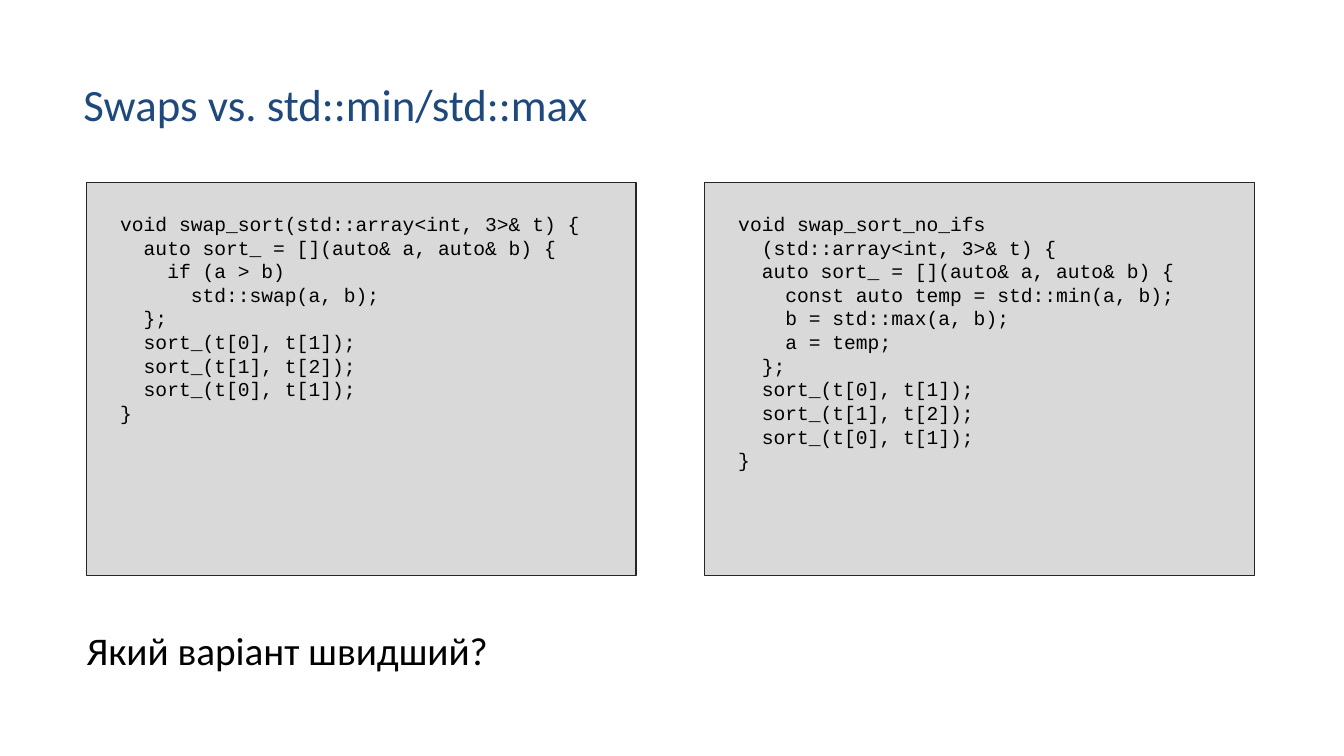
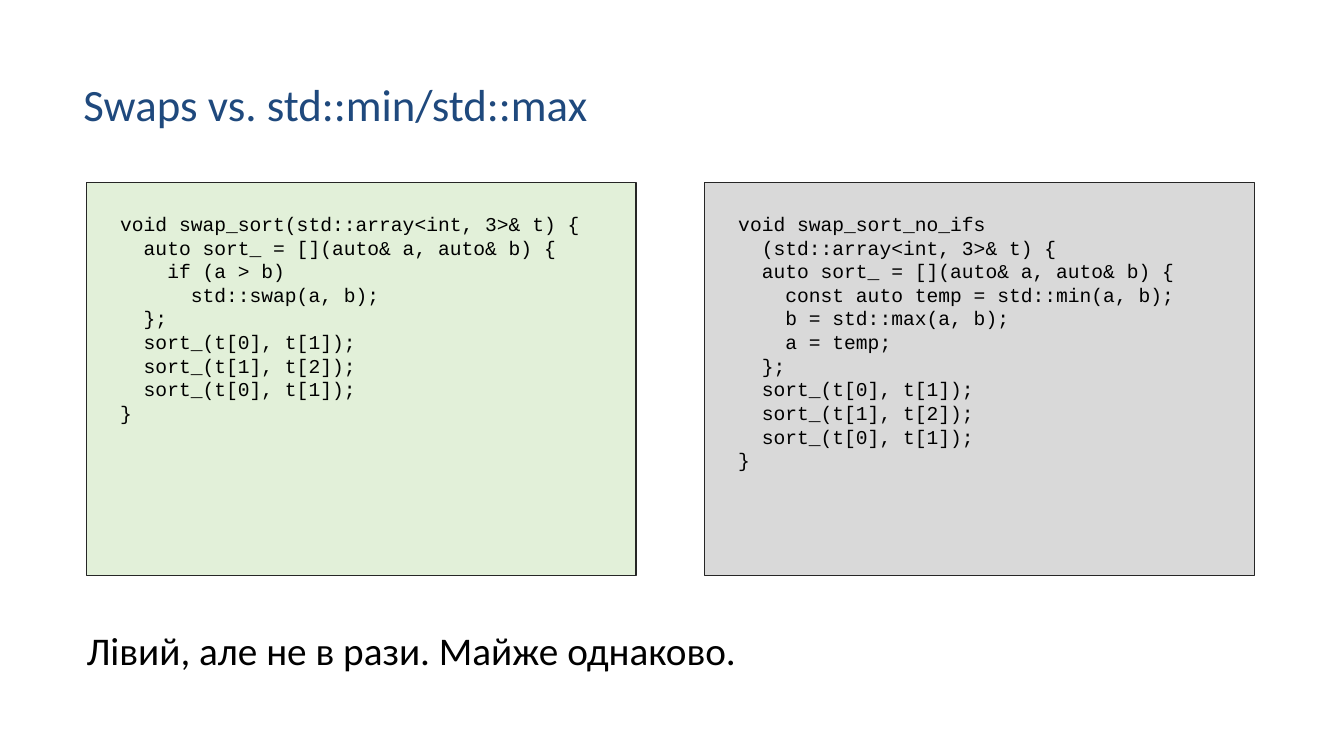
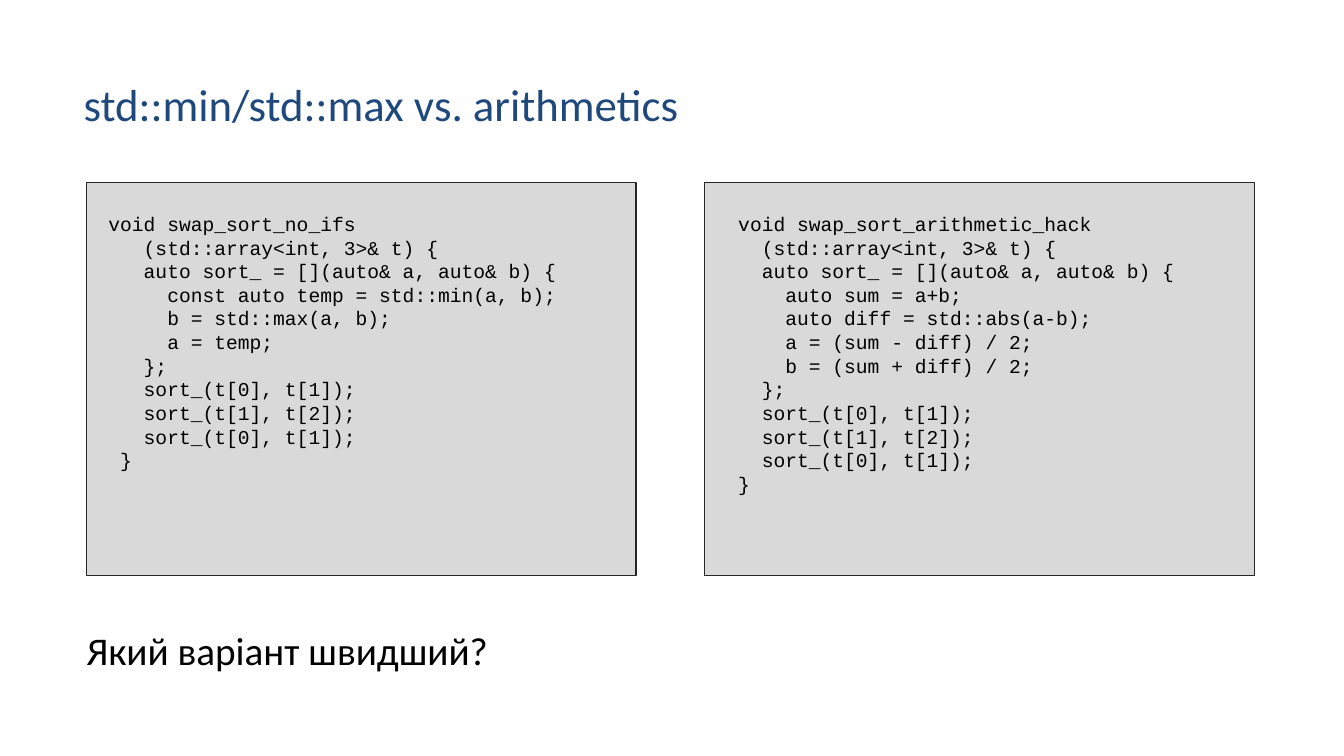
from dataclasses import dataclass

from pptx import Presentation
from pptx.dml.color import RGBColor
from pptx.enum.shapes import MSO_SHAPE
from pptx.enum.text import MSO_ANCHOR, MSO_AUTO_SIZE, PP_ALIGN
from pptx.slide import Slide
from pptx.util import Emu, Pt

RECT = MSO_SHAPE.RECTANGLE
TOP = MSO_ANCHOR.TOP
LEFT = PP_ALIGN.LEFT
GROW = MSO_AUTO_SIZE.SHAPE_TO_FIT_TEXT

SCALE = 9144  # EMU in one px, 100 px to the inch


@dataclass(frozen=True)
class Type:
    face: str
    size: int
    color: str


@dataclass(frozen=True)
class Theme:
    title: Type = Type("Calibri", 32, "1F497D")
    note: Type = Type("Calibri", 28, "000000")
    code: Type = Type("Courier New", 14, "000000")
    pitch: float = 16.9
    plain: str = "D9D9D9"
    best: str = "E2F0D9"
    edge: str = "262626"


@dataclass(frozen=True)
class Box:
    left: int
    top: int
    width: int
    height: int

    def emu(self) -> list[Emu]:
        return [px(n) for n in (self.left, self.top, self.width, self.height)]


@dataclass(frozen=True)
class Panel:
    code: str
    fill: str


@dataclass(frozen=True)
class Page:
    title: str
    width: int
    panels: tuple[Panel, Panel]
    note: str


THEME = Theme()
PANEL = Box(86, 181, 545, 390)
STEP = 613
INSET = 29
NOTE = Box(76, 616, 838, 57)

ARGS = "    (std::array<int, 3>& t) {\n"
OPEN = "    auto sort_ = [](auto& a, auto& b) {\n"
TAIL = """\
    };
    sort_(t[0], t[1]);
    sort_(t[1], t[2]);
    sort_(t[0], t[1]);
  }"""

SWAP = "  void swap_sort(std::array<int, 3>& t) {\n" + OPEN + """\
      if (a > b)
        std::swap(a, b);
""" + TAIL

NO_IFS = "  void swap_sort_no_ifs\n" + ARGS + OPEN + """\
      const auto temp = std::min(a, b);
      b = std::max(a, b);
      a = temp;
""" + TAIL

HACK = "  void swap_sort_arithmetic_hack\n" + ARGS + OPEN + """\
      auto sum = a+b;
      auto diff = std::abs(a-b);
      a = (sum - diff) / 2;
      b = (sum + diff) / 2;
""" + TAIL

SWAPS = "Swaps vs. std::min/std::max"
ASK = "Який варіант швидший?"
RIGHT = Panel(NO_IFS, THEME.plain)

PAGES = (
    Page(SWAPS, 526, (Panel(SWAP, THEME.plain), RIGHT), ASK),
    Page(SWAPS, 526, (Panel(SWAP, THEME.best), RIGHT),
         "Лівий, але не в рази. Майже однаково."),
    Page("std::min/std::max vs. arithmetics", 618,
         (Panel(NO_IFS[1:], THEME.plain), Panel(HACK, THEME.plain)), ASK),
)


def px(n: int) -> Emu:
    return Emu(n * SCALE)


def write(frame, text: str, kind: Type) -> None:
    """Fill a text frame, one paragraph a line."""
    frame.text = text
    for para in frame.paragraphs:
        para.alignment = LEFT
        para.font.name = kind.face
        para.font.size = Pt(kind.size)
        para.font.color.rgb = RGBColor.from_string(kind.color)


def label(slide: Slide, box: Box, text: str, kind: Type, wrap: bool) -> None:
    frame = slide.shapes.add_textbox(*box.emu()).text_frame
    frame.word_wrap = wrap
    frame.auto_size = GROW
    write(frame, text, kind)


def block(slide: Slide, box: Box, panel: Panel) -> None:
    """Draw a framed box of code."""
    shape = slide.shapes.add_shape(RECT, *box.emu())
    shape.shadow.inherit = False
    shape.fill.solid()
    shape.fill.fore_color.rgb = RGBColor.from_string(panel.fill)
    shape.line.color.rgb = RGBColor.from_string(THEME.edge)
    shape.line.width = Pt(1)
    frame = shape.text_frame
    frame.word_wrap = True
    frame.vertical_anchor = TOP
    frame.margin_top = px(INSET)
    write(frame, panel.code, THEME.code)
    for para in frame.paragraphs:
        para.line_spacing = Pt(THEME.pitch)


def draw(slide: Slide, page: Page) -> None:
    label(slide, Box(73, 71, page.width, 64), page.title, THEME.title, False)
    for i, panel in enumerate(page.panels):
        box = Box(PANEL.left + i * STEP, PANEL.top, PANEL.width, PANEL.height)
        block(slide, box, panel)
    label(slide, NOTE, page.note, THEME.note, True)


def main() -> None:
    deck = Presentation()
    deck.slide_width = px(1333)
    deck.slide_height = px(750)
    blank = deck.slide_layouts[6]
    for page in PAGES:
        draw(deck.slides.add_slide(blank), page)
    deck.save("out.pptx")


if __name__ == "__main__":
    main()
